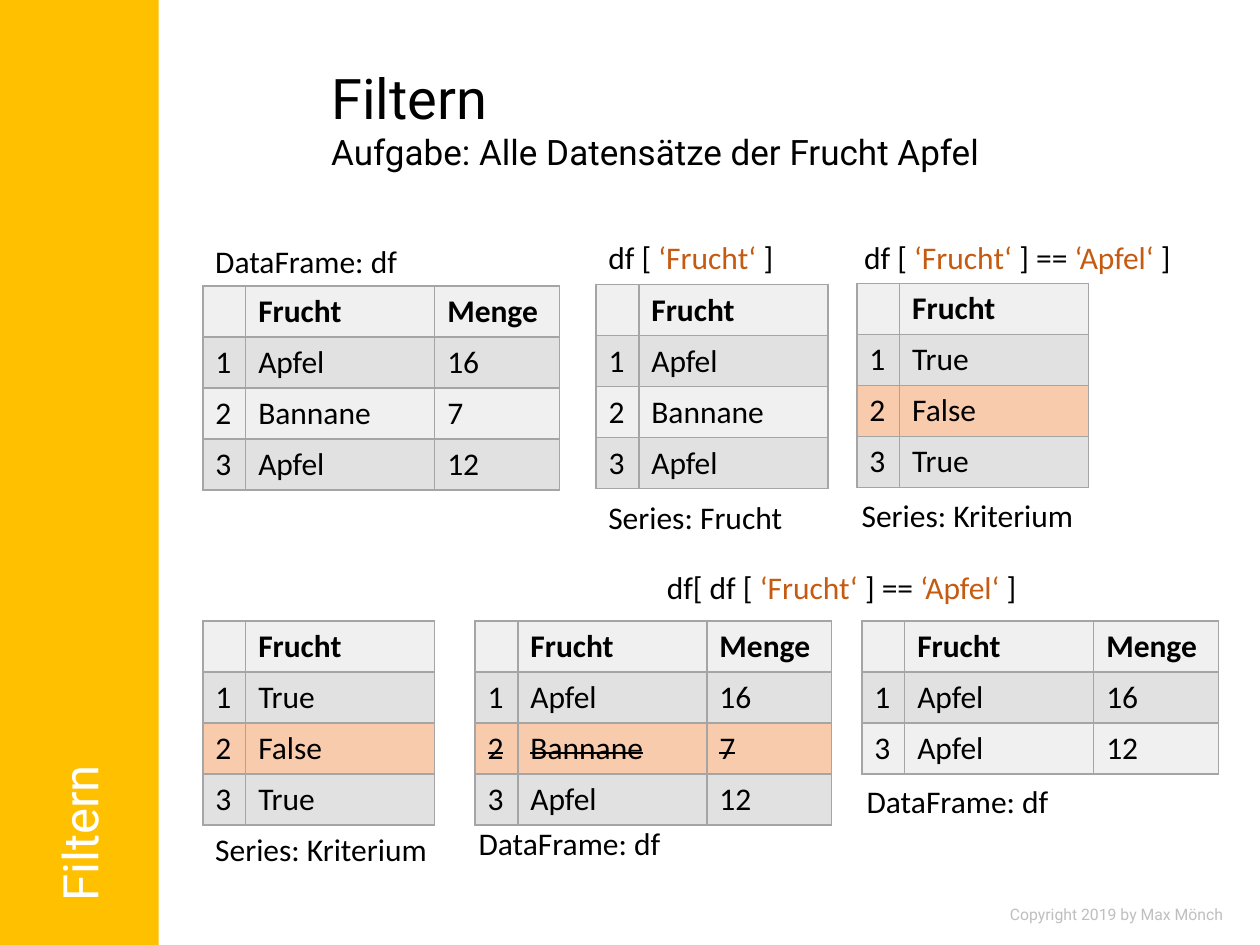
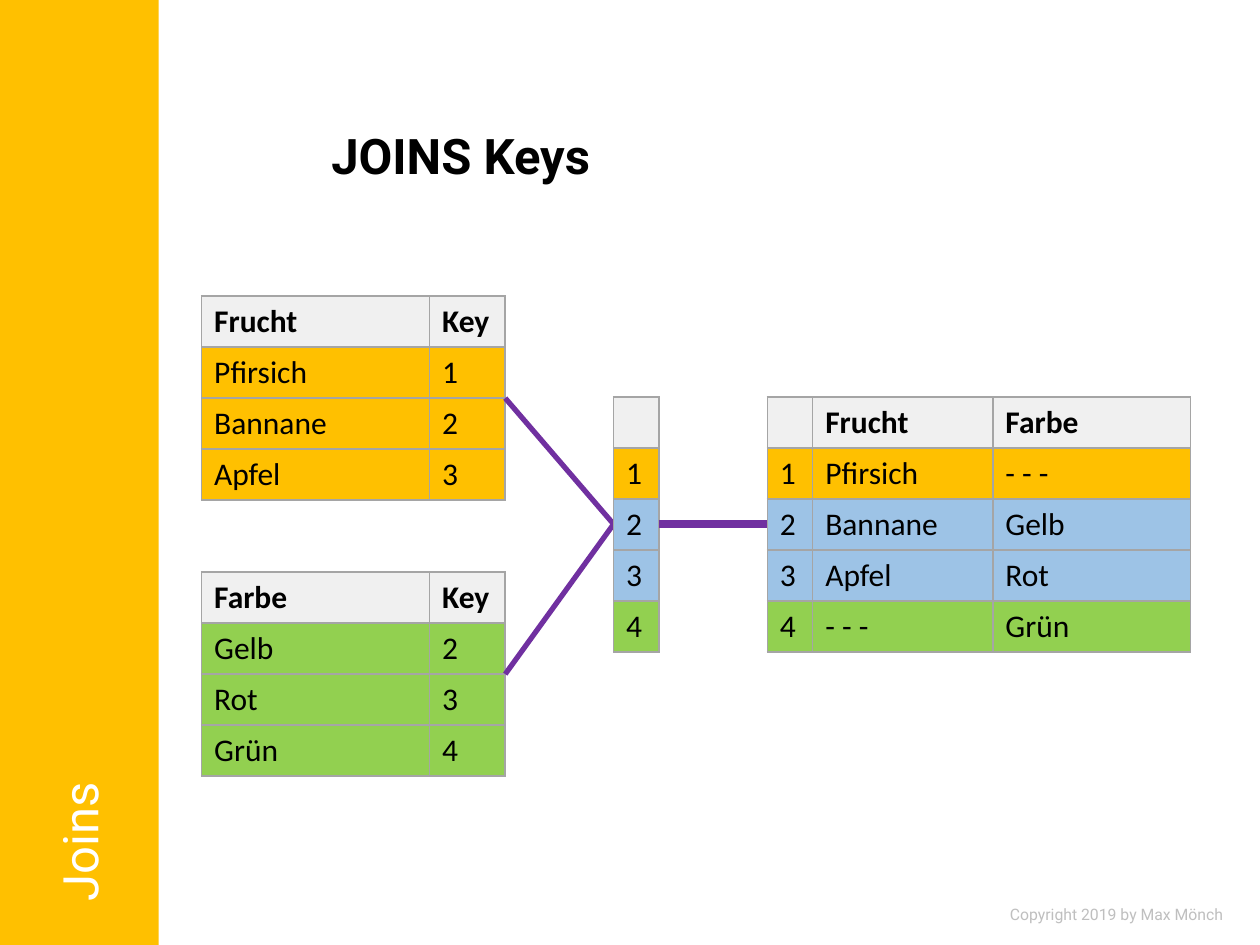
from lxml import etree
from pptx import Presentation
from pptx.dml.color import RGBColor
from pptx.enum.shapes import MSO_CONNECTOR, MSO_SHAPE
from pptx.enum.text import MSO_ANCHOR, MSO_AUTO_SIZE, PP_ALIGN
from pptx.oxml.ns import qn
from pptx.util import Inches, Pt

RECTANGLE = MSO_SHAPE.RECTANGLE
STRAIGHT = MSO_CONNECTOR.STRAIGHT
TOP, MIDDLE = MSO_ANCHOR.TOP, MSO_ANCHOR.MIDDLE
LEFT, CENTER = PP_ALIGN.LEFT, PP_ALIGN.CENTER
GROW, FIXED = MSO_AUTO_SIZE.SHAPE_TO_FIT_TEXT, MSO_AUTO_SIZE.NONE

COLORS = {
    "band": "FFC000",
    "text": "000000",
    "literal": "C55A11",
    "white": "FFFFFF",
    "footer": "BFBFBF",
    "border": "A5A5A5",
    "light": "F0F0F0",
    "dark": "E1E1E1",
    "excluded": "F8CBAD",
    "left_only": "FFC000",
    "right_only": "92D050",
    "matched": "9DC3E6",
    "link": "7030A0",
}
BODY_FONT = "Calibri"
HEADING_FONT = "Roboto"
ROW_HEIGHT = Inches(1.62) // 4
INDEX, FRUIT, AMOUNT = 0.34, 1.5, 0.99


def color(name):
    return RGBColor.from_string(COLORS[name])


def write(frame, text, size=18, font=BODY_FONT, fill="text", bold=False,
          strike=False, align=LEFT, spacing=None, before=None):
    para = frame.paragraphs[0]
    para.alignment = align
    if spacing:
        para.line_spacing = spacing
    if before:
        para.space_before = Pt(before)
    for number, part in enumerate(text.split("|")):
        span = para.add_run()
        span.text = part
        span.font.size = Pt(size)
        span.font.name = font
        span.font.bold = bold
        span.font.color.rgb = color("literal" if number % 2 else fill)
        if strike:
            span._r.get_or_add_rPr().set("strike", "sngStrike")


class SlideBuilder:
    def __init__(self, deck):
        self.deck = deck
        self.page = None

    def new_page(self, section):
        self.page = self.deck.slides.add_slide(self.deck.slide_layouts[5])
        band = self.page.shapes.add_shape(
            RECTANGLE, 0, 0, Inches(1.26), self.deck.slide_height)
        band.shadow.inherit = False
        band.fill.solid()
        band.fill.fore_color.rgb = color("band")
        band.line.fill.background()
        self.text(7.72, 7.13, 2.28, 0.25, "Copyright 2019 by Max Mönch",
                  size=9, font=HEADING_FONT, fill="footer", align=CENTER)
        box = self.text(-3.42, 2.85, 8.22, 0.59, section, grow=False, size=28,
                        font=HEADING_FONT, fill="white", spacing=0.9, before=10)
        box.rotation = 270

    def title(self, top, height, text, **style):
        box = self.page.shapes.title
        box.left, box.top = Inches(2.53), Inches(top)
        box.width, box.height = Inches(6.79), Inches(height)
        frame = box.text_frame
        frame.auto_size = FIXED
        frame.vertical_anchor = MIDDLE
        write(frame, text, font=HEADING_FONT, spacing=0.9, **style)

    def text(self, left, top, width, height, text, grow=True, anchor=TOP, **style):
        box = self.page.shapes.add_textbox(
            Inches(left), Inches(top), Inches(width), Inches(height))
        frame = box.text_frame
        frame.word_wrap = True
        frame.auto_size = GROW if grow else FIXED
        frame.vertical_anchor = anchor
        write(frame, text, **style)
        return box

    def label(self, left, top, text, width=1.84, **style):
        return self.text(left, top, width, 0.4, text, **style)

    def table(self, left, top, widths, rows, fills, struck=None):
        table = self.page.shapes.add_table(
            len(rows), len(widths), Inches(left), Inches(top),
            Inches(sum(widths)), ROW_HEIGHT * len(rows)).table
        table.first_row = False
        table.horz_banding = False
        for column, width in zip(table.columns, widths):
            column.width = Inches(width)
        for row_number, (values, fill) in enumerate(zip(rows, ["light", *fills])):
            table.rows[row_number].height = ROW_HEIGHT
            for column_number, value in enumerate(values):
                cell = table.cell(row_number, column_number)
                self.border(cell)
                cell.fill.solid()
                cell.fill.fore_color.rgb = color(fill)
                if value:
                    write(cell.text_frame, value, bold=row_number == 0,
                          strike=row_number == struck)

    def border(self, cell):
        properties = cell._tc.get_or_add_tcPr()
        for side in ("a:lnL", "a:lnR", "a:lnT", "a:lnB"):
            edge = etree.SubElement(properties, qn(side), w=str(Pt(1)))
            paint = etree.SubElement(edge, qn("a:solidFill"))
            etree.SubElement(paint, qn("a:srgbClr"), val=COLORS["border"])

    def link(self, start, end, width=3):
        points = [Inches(value) for value in (*start, *end)]
        line = self.page.shapes.add_connector(STRAIGHT, *points)
        line.line.color.rgb = color("link")
        line.line.width = Pt(width)
        etree.SubElement(line._element.spPr, qn("a:effectLst"))


def build_filter_page(builder):
    builder.new_page("Filtern")
    builder.title(0.6, 0.41, "Filtern", size=32)
    builder.text(2.53, 1.02, 6.79, 0.41, "Aufgabe: Alle Datensätze der Frucht Apfel",
                 grow=False, anchor=MIDDLE, size=20, font=HEADING_FONT, spacing=0.9)

    frame = [("", "Frucht", "Menge"), ("1", "Apfel", "16"),
             ("2", "Bannane", "7"), ("3", "Apfel", "12")]
    fruits = [row[:2] for row in frame]
    criterion = [("", "Frucht"), ("1", "True"), ("2", "False"), ("3", "True")]
    filtered = [row for row in frame if row[1] != "Bannane"]
    frame_widths = (INDEX, FRUIT, AMOUNT)
    series_widths = (INDEX, FRUIT)
    banded = ("dark", "light", "dark")
    marked = ("dark", "excluded", "dark")

    builder.table(1.61, 2.27, frame_widths, frame, banded)
    builder.table(4.73, 2.26, series_widths, fruits, banded)
    builder.table(6.8, 2.25, series_widths, criterion, marked)
    builder.table(1.61, 4.93, series_widths, criterion, marked)
    builder.table(3.77, 4.93, frame_widths, frame, marked, struck=2)
    builder.table(6.84, 4.93, frame_widths, filtered, banded)

    for left, top in ((1.61, 1.87), (3.7, 6.49), (6.78, 6.16)):
        builder.label(left, top, "DataFrame: df")
    for left, top in ((6.74, 3.89), (1.61, 6.54)):
        builder.label(left, top, "Series: Kriterium", width=2.13)
    builder.label(4.73, 3.9, "Series: Frucht")
    condition = "df [ |‘Frucht‘ |] == |‘Apfel‘| ]"
    builder.label(4.73, 1.84, "df [ |‘Frucht‘ |]")
    builder.label(6.76, 1.84, condition, width=3.04)
    builder.label(3.7, 4.46, "df[ " + condition, width=5.96, align=CENTER)


def build_join_page(builder):
    builder.new_page("Joins")
    builder.title(0.83, 0.85, "JOINS Keys", size=28, bold=True)

    fruits = [("Frucht", "Key"), ("Pfirsich", "1"), ("Bannane", "2"), ("Apfel", "3")]
    hues = [("Farbe", "Key"), ("Gelb", "2"), ("Rot", "3"), ("Grün", "4")]
    joined = [("", "Frucht", "Farbe"), ("1", "Pfirsich", "- - -"),
              ("2", "Bannane", "Gelb"), ("3", "Apfel", "Rot"),
              ("4", "- - -", "Grün")]
    keys = [row[:1] for row in joined]
    key_fills = ("left_only", "matched", "matched", "right_only")

    builder.table(1.6, 2.35, (1.81, 0.6), fruits, ["left_only"] * 3)
    builder.table(1.6, 4.54, (1.81, 0.6), hues, ["right_only"] * 3)
    builder.table(6.09, 3.15, (0.36, 1.43, 1.57), joined, key_fills)
    for top in (3.16, 5.35):
        builder.link((4.01, top), (4.87, 4.16))
    builder.table(4.87, 3.15, (0.36,), keys, key_fills)
    builder.link((5.23, 4.16), (6.09, 4.16), width=4.5)


def main():
    deck = Presentation()
    deck.slide_width, deck.slide_height = Inches(10), Inches(7.5)
    builder = SlideBuilder(deck)
    build_filter_page(builder)
    build_join_page(builder)
    deck.save("out.pptx")


if __name__ == "__main__":
    main()
